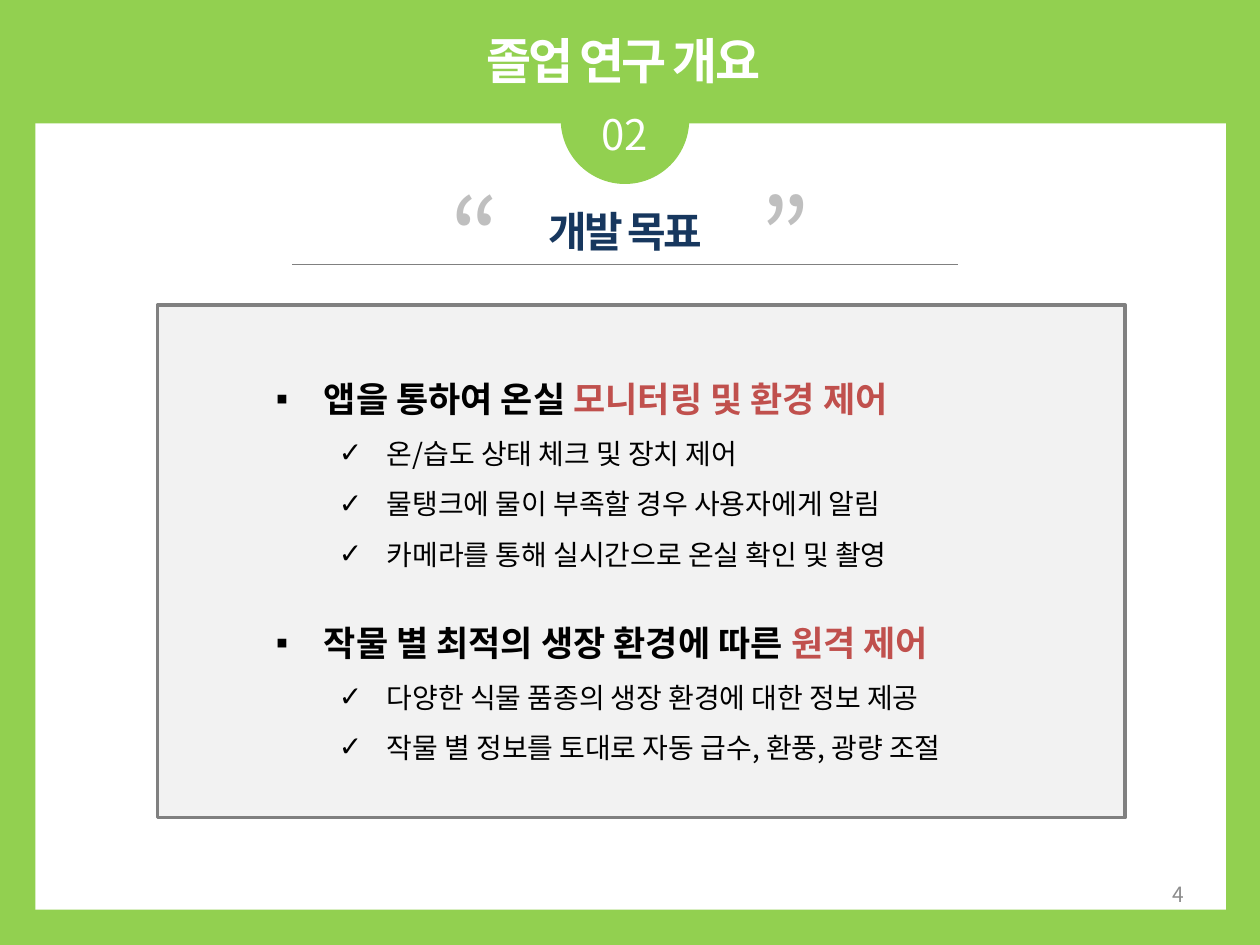
from dataclasses import dataclass

from lxml import etree
from pptx import Presentation
from pptx.enum import shapes, text
from pptx.dml.color import RGBColor
from pptx.oxml import ns
from pptx.util import Inches, Pt

FONT = "Noto Sans CJK KR"
HUES = {
    "green": "92D050", "white": "FFFFFF", "pale": "F2F2F2", "gray": "808080",
    "quote": "BFBFBF", "navy": "17375E", "black": "000000", "red": "C0504D",
    "page": "8C8C8C",
}
ALIGN = text.PP_ALIGN
ANCHOR = text.MSO_ANCHOR
SHAPE = shapes.MSO_SHAPE


@dataclass
class Box:
    x: float
    y: float
    w: float
    h: float

    def emu(self) -> list:
        return [Inches(v) for v in (self.x, self.y, self.w, self.h)]


@dataclass
class Label:
    words: str
    box: Box
    size: int
    hue: str
    bold: bool = False
    gap: int = 0
    align: ALIGN = ALIGN.CENTER
    anchor: ANCHOR = ANCHOR.TOP


@dataclass
class Goal:
    head: str
    key: str
    items: list
    before: int = 0


LABELS = [
    Label("02", Box(4.37, 0.81, 1.18, 0.5), 24, "white"),
    Label("“", Box(3.27, 1.31, 1, 1.11), 60, "quote"),
    Label("”", Box(5.73, 1.31, 1, 1.11), 60, "quote"),
    Label("개발 목표", Box(2.6, 1.58, 4.72, 0.5), 24, "navy", True, -150),
    Label("4", Box(7.17, 6.9, 2.33, 0.4), 12, "page",
          align=ALIGN.RIGHT, anchor=ANCHOR.MIDDLE),
]
TITLE = Label("졸업 연구 개요", Box(0.22, 0.19, 9.45, 0.57), 28, "white", True, -150)
GOALS = [
    Goal("앱을 통하여 온실 ", "모니터링 및 환경 제어", [
        "온/습도 상태 체크 및 장치 제어",
        "물탱크에 물이 부족할 경우 사용자에게 알림",
        "카메라를 통해 실시간으로 온실 확인 및 촬영",
    ]),
    Goal("작물 별 최적의 생장 환경에 따른 ", "원격 제어", [
        "다양한 식물 품종의 생장 환경에 대한 정보 제공",
        "작물 별 정보를 토대로 자동 급수, 환풍, 광량 조절",
    ], before=17),
]


def rgb(hue: str) -> RGBColor:
    return RGBColor.from_string(HUES[hue])


def add_run(para, words: str, size: int, hue: str, bold=False, gap=0) -> None:
    run = para.add_run()
    run.text = words
    look = {"name": FONT, "size": Pt(size), "bold": bold}
    for key, val in look.items():
        setattr(run.font, key, val)
    run.font.color.rgb = rgb(hue)
    props = run.font._element
    etree.SubElement(props, ns.qn("a:ea"), typeface=FONT)
    if gap:
        props.set("spc", str(gap))


def place(shape, box: Box, anchor=ANCHOR.TOP):
    for key, val in zip(("left", "top", "width", "height"), box.emu()):
        setattr(shape, key, val)
    frame = shape.text_frame
    look = {"word_wrap": True, "auto_size": text.MSO_AUTO_SIZE.NONE,
            "vertical_anchor": anchor}
    for key, val in look.items():
        setattr(frame, key, val)
    return frame


def write(shape, label: Label) -> None:
    para = place(shape, label.box, label.anchor).paragraphs[0]
    para.alignment = label.align
    add_run(para, label.words, label.size, label.hue, label.bold, label.gap)


def add_panel(slide, kind, box: Box, hue: str, edge: str = "") -> None:
    shape = slide.shapes.add_shape(kind, *box.emu())
    shape.shadow.inherit = False
    shape.fill.solid()
    shape.fill.fore_color.rgb = rgb(hue)
    if edge:
        shape.line.color.rgb = rgb(edge)
        shape.line.width = Pt(2)
    else:
        shape.line.fill.background()


def add_rule(slide, x1: float, x2: float, y: float) -> None:
    line = slide.shapes.add_connector(
        shapes.MSO_CONNECTOR.STRAIGHT,
        Inches(x1), Inches(y), Inches(x2), Inches(y))
    line.line.color.rgb = rgb("gray")
    line.line.width = Pt(0.75)
    etree.SubElement(line._element.spPr, ns.qn("a:effectLst"))


def set_item(para, level: int, mark: str, before: int = 0) -> None:
    props = para._p.get_or_add_pPr()
    props.set("marL", str(Inches(0.38 + level * 0.5)))
    props.set("indent", str(Inches(-0.38)))
    etree.SubElement(props, ns.qn("a:buChar"), char=mark)
    look = {"level": level, "line_spacing": 1.5, "space_before": Pt(before)}
    for key, val in look.items():
        setattr(para, key, val)


def fill_list(frame, goals: list) -> None:
    for num, goal in enumerate(goals):
        para = frame.add_paragraph() if num else frame.paragraphs[0]
        set_item(para, 0, "▪", goal.before)
        add_run(para, goal.head, 20, "black", True)
        add_run(para, goal.key, 20, "red", True)
        for item in goal.items:
            para = frame.add_paragraph()
            set_item(para, 1, "✓")
            add_run(para, item, 16, "black")


def main() -> None:
    deck = Presentation()
    deck.slide_width, deck.slide_height = Inches(10), Inches(7.5)
    slide = deck.slides.add_slide(deck.slide_layouts[1])
    slide.background.fill.solid()
    slide.background.fill.fore_color.rgb = rgb("green")

    # Page, number badge and goal panel
    add_panel(slide, SHAPE.RECTANGLE, Box(0.28, 0.98, 9.45, 6.24), "white")
    add_panel(slide, SHAPE.OVAL, Box(4.45, 0.44, 1.02, 1.02), "green")
    add_panel(slide, SHAPE.RECTANGLE, Box(1.25, 2.42, 7.68, 4.07), "pale", "gray")
    add_rule(slide, 2.32, 7.6, 2.1)

    # Title and goal list, raised above the panels
    title, body = slide.placeholders
    for holder in (title, body):
        slide.shapes._spTree.append(holder._element)
    write(title, TITLE)
    fill_list(place(body, Box(2.09, 2.78, 6.06, 3.33)), GOALS)

    # Badge number, heading with quotes, page number
    for label in LABELS:
        write(slide.shapes.add_textbox(*label.box.emu()), label)

    deck.save("out.pptx")


if __name__ == "__main__":
    main()
